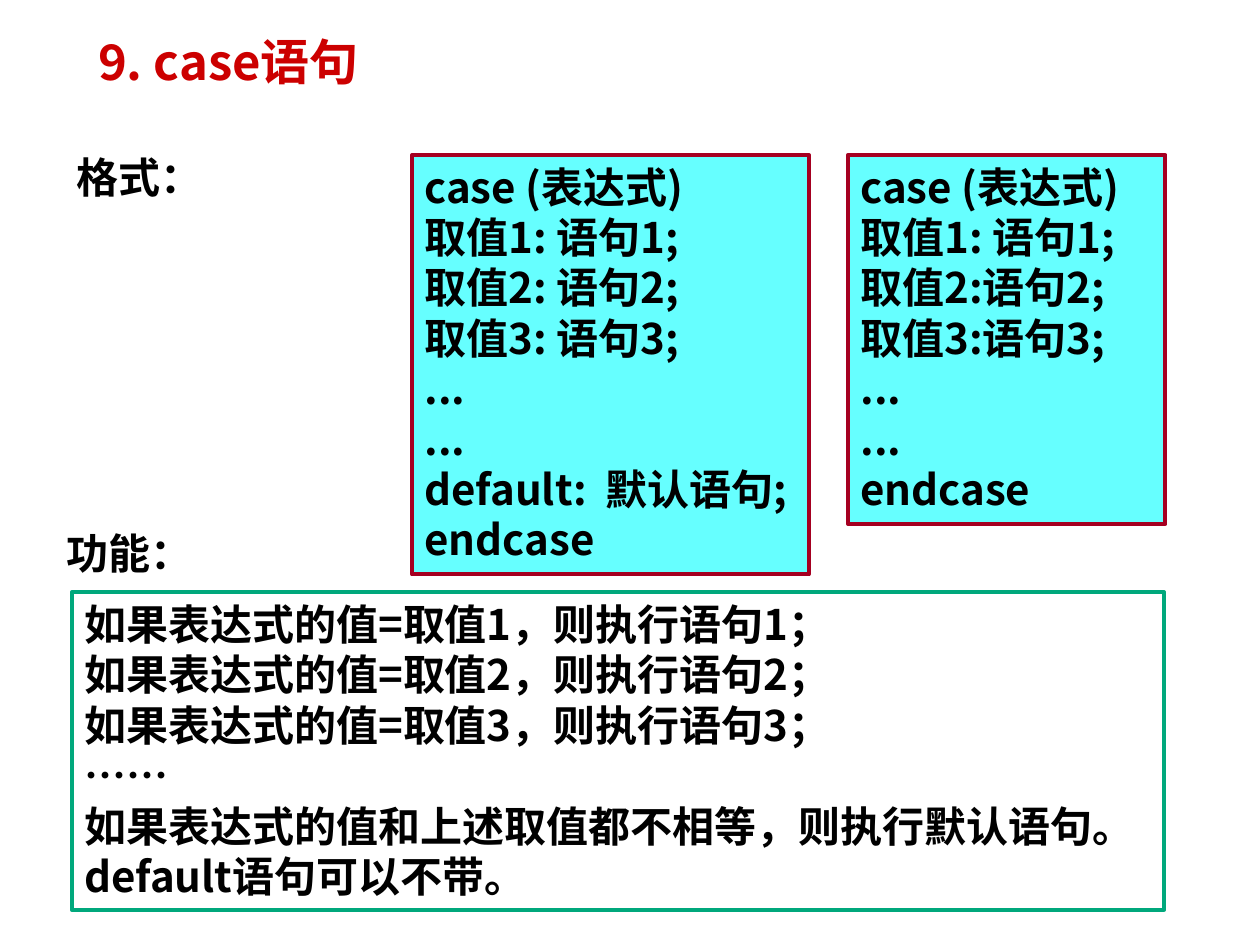
from pptx import Presentation
from pptx.dml.color import RGBColor
from pptx.enum import shapes, text
from pptx.oxml import ns, xmlchemy
from pptx.util import Inches, Pt

FONT = "Noto Sans CJK SC"
BLACK = RGBColor(0x00, 0x00, 0x00)
RED = RGBColor(0xCC, 0x00, 0x00)
WINE = RGBColor(0xA5, 0x00, 0x21)
CYAN = RGBColor(0x66, 0xFF, 0xFF)
GREEN = RGBColor(0x00, 0xA8, 0x7C)


def write(frame, lines, size=24, color=BLACK, wrap=True,
          anchor=text.MSO_ANCHOR.TOP, fit=text.MSO_AUTO_SIZE.SHAPE_TO_FIT_TEXT):
    """Put each line in its own left-aligned bold paragraph."""
    frame.word_wrap = wrap
    frame.vertical_anchor = anchor
    frame.auto_size = fit
    for i, line in enumerate(lines):
        para = frame.add_paragraph() if i else frame.paragraphs[0]
        para.alignment = text.PP_ALIGN.LEFT
        run = para.add_run()
        run.text = line
        font = run.font
        font.name, font.size, font.bold = FONT, Pt(size), True
        font.color.rgb = color
        east = xmlchemy.OxmlElement("a:ea")
        east.set("typeface", FONT)
        run._r.get_or_add_rPr().find(ns.qn("a:latin")).addnext(east)


class Page:
    def __init__(self, slide, border=2.25):
        self.slide = slide
        self.border = border

    def box(self, place, lines, line, fill=None):
        rect = self.slide.shapes.add_shape(
            shapes.MSO_SHAPE.RECTANGLE, *map(Inches, place))
        rect.shadow.inherit = False
        if fill is None:
            rect.fill.background()
        else:
            rect.fill.solid()
            rect.fill.fore_color.rgb = fill
        rect.line.color.rgb = line
        rect.line.width = Pt(self.border)
        write(rect.text_frame, lines)

    def label(self, place, words, **style):
        area = self.slide.shapes.add_textbox(*map(Inches, place))
        write(area.text_frame, [words], **style)


def main():
    deck = Presentation()
    deck.slide_width, deck.slide_height = Inches(10), Inches(7.5)
    page = Page(deck.slides.add_slide(deck.slide_layouts[6]))

    head, dots = "case (表达式)", ["...", "..."]
    full = [f"取值{n}: 语句{n};" for n in (1, 2, 3)]
    short = full[:1] + [f"取值{n}:语句{n};" for n in (2, 3)]
    rules = [f"如果表达式的值=取值{n}，则执行语句{n}；" for n in (1, 2, 3)]

    page.box((3.27, 1.23, 3.15, 3.33),
             [head, *full, *dots, "default:  默认语句;", "endcase"], WINE, CYAN)
    page.box((6.73, 1.23, 2.52, 2.93),
             [head, *short, *dots, "endcase"], WINE, CYAN)
    page.box((0.57, 4.7, 8.67, 2.52),
             [*rules, "……", "如果表达式的值和上述取值都不相等，则执行默认语句。",
              "default语句可以不带。"], GREEN)

    page.label((0.43, 4.14, 1.2, 0.5), "功能：", wrap=False)
    page.label((0.51, 1.15, 1.2, 0.5), "格式：", wrap=False)
    page.label((0.68, 0.01, 8.52, 0.76), "9. case语句", size=28, color=RED,
               anchor=text.MSO_ANCHOR.BOTTOM, fit=text.MSO_AUTO_SIZE.NONE)
    deck.save("out.pptx")


if __name__ == "__main__":
    main()
